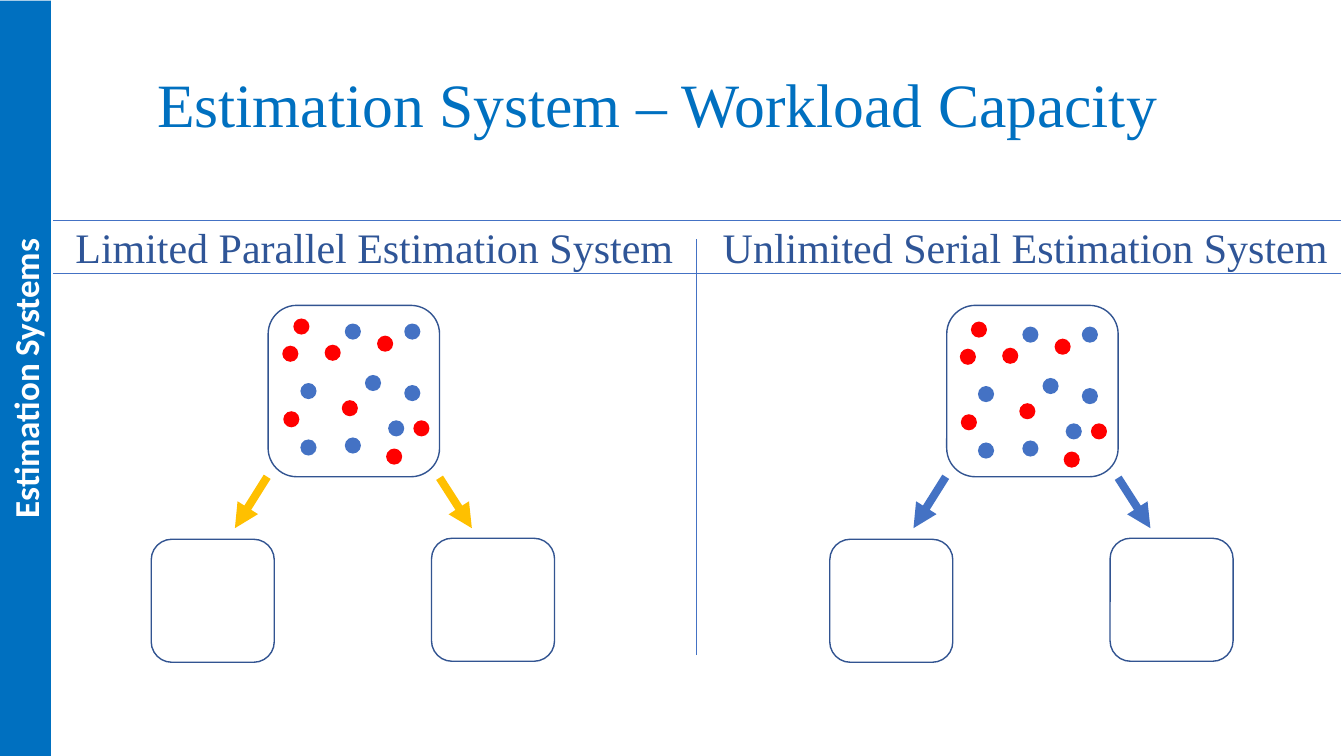
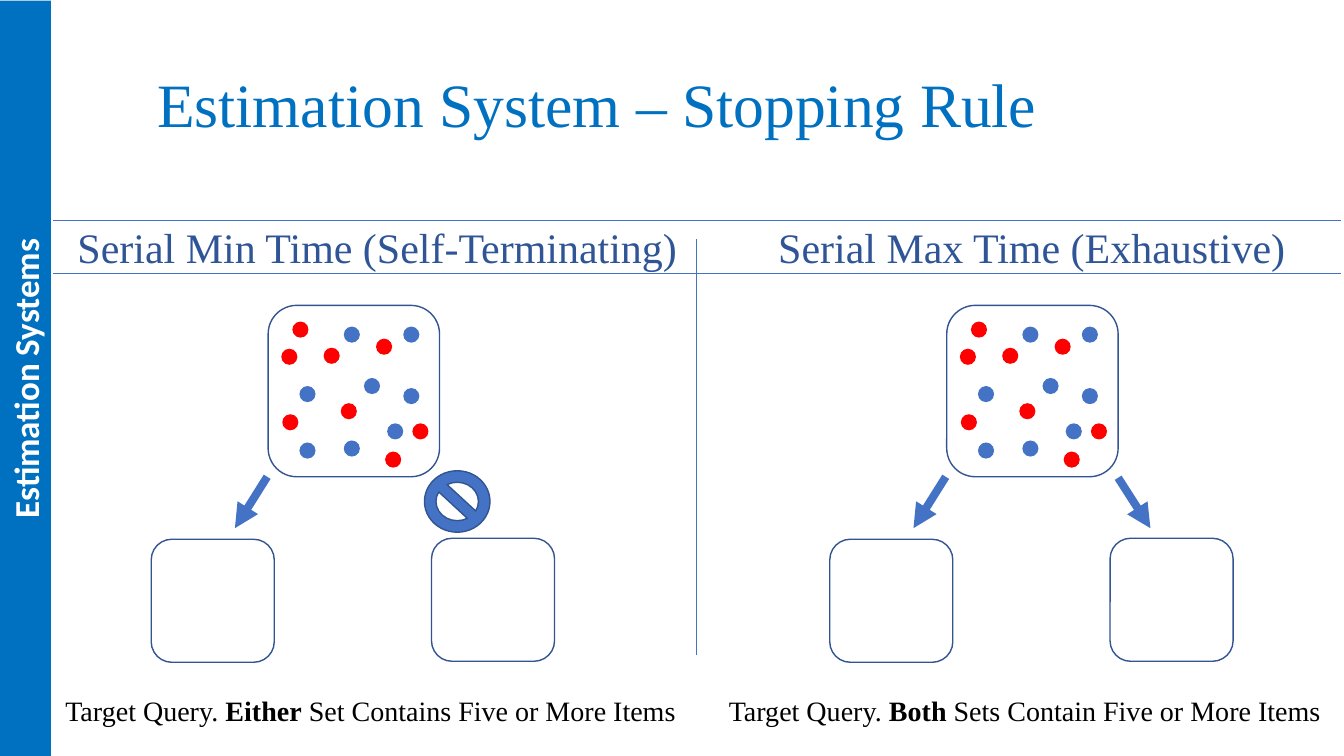
from lxml import etree
from pptx import Presentation
from pptx import util as u
from pptx.dml.color import RGBColor
from pptx.enum import shapes, text
from pptx.oxml.ns import qn

PX = 9144
BAND, BLUE, EDGE, HEAD = "0070C0", "4472C4", "325491", "2F5597"
RED, GOLD, WHITE, BLACK = "FF0000", "FFC000", "FFFFFF", "000000"
SERIF = "Times New Roman"
KIND = shapes.MSO_SHAPE
hue = RGBColor.from_string


def draw(slide, kind, area, fill, edge=None):
    item = slide.shapes.add_shape(kind, *[v * PX for v in area])
    item.shadow.inherit = False
    item.fill.solid()
    item.fill.fore_color.rgb = hue(fill)
    if edge:
        item.line.color.rgb = hue(edge)
        item.line.width = u.Pt(1)
    else:
        item.line.fill.background()
    return item


def link(slide, ends, color, width, arrow=False):
    item = slide.shapes.add_connector(
        shapes.MSO_CONNECTOR.STRAIGHT, *[v * PX for v in ends])
    item.line.color.rgb = hue(color)
    item.line.width = u.Pt(width)
    if arrow:
        etree.SubElement(item.line._get_or_add_ln(), qn("a:tailEnd"), type="triangle")
    etree.SubElement(item._element.spPr, qn("a:effectLst"))


RULES = [(1330, 219, 53, 219), (691, 650, 691, 237), (1330, 271, 53, 271)]
BOXES = [(266, 303, 170, 170), (428, 534, 122, 122), (150, 535, 122, 122)]
ARROWS = [(265, 473, 233, 524), (436, 474, 468, 524)]
STEP = 673
DOT = 16
DOTS = {
    BLUE: [(384, 420), (341, 437), (400, 385), (361, 375),
           (341, 324), (297, 383), (400, 324), (297, 439)],
    RED: [(290, 319), (321, 345), (373, 336), (279, 346),
          (338, 400), (409, 420), (280, 411), (382, 448)],
}

PAGES = [
    {
        "title": "Estimation System – Workload Capacity",
        "texts": [
            ((65, 215, 619, 61), 30, HEAD, ["Limited Parallel Estimation System"]),
            ((707, 215, 630, 61), 30, HEAD, ["Unlimited Serial Estimation System"]),
        ],
        "sides": [(GOLD, 2, 1, -3), (BLUE, 2, 0, 0)],
    },
    {
        "title": "Estimation System – Stopping Rule",
        "texts": [
            ((67, 215, 622, 61), 30, HEAD, ["Serial Min Time (Self-Terminating)"]),
            ((762, 215, 529, 61), 30, HEAD, ["Serial Max Time (Exhaustive)"]),
            ((55, 683, 630, 44), 20, BLACK,
             ["Target Query. ", "Either", " Set Contains Five or More Items"]),
            ((713, 683, 611, 44), 20, BLACK,
             ["Target Query. ", "Both", " Sets Contain Five or More Items"]),
        ],
        "sides": [(BLUE, 1, 0, 0), (BLUE, 2, 0, 0)],
    },
]

deck = Presentation()
deck.slide_width = 1333 * PX
deck.slide_height = 750 * PX

for page in PAGES:
    slide = deck.slides.add_slide(deck.slide_layouts[5])

    band = draw(slide, KIND.RECTANGLE, (-350, 350, 750, 51), BAND)
    band.rotation = 270
    frame = band.text_frame
    frame.text = "Estimation Systems"
    frame.vertical_anchor = text.MSO_ANCHOR.MIDDLE
    para = frame.paragraphs[0]
    para.alignment = text.PP_ALIGN.CENTER
    para.font.name = "Calibri"
    para.font.size = u.Pt(25)
    para.font.bold = True
    para.font.color.rgb = hue(WHITE)

    for rule in RULES:
        link(slide, rule, BLUE, 0.5)

    title = slide.shapes.title
    title.left, title.top, title.width, title.height = [
        v * PX for v in (146, 60, 1079, 84)]
    jobs = [(title, 44, BAND, [page["title"]])]
    for area, size, color, parts in page["texts"]:
        box = slide.shapes.add_textbox(*[v * PX for v in area])
        box.text_frame.word_wrap = False
        jobs.append((box, size, color, parts))

    for box, size, color, parts in jobs:
        frame = box.text_frame
        frame.auto_size = text.MSO_AUTO_SIZE.SHAPE_TO_FIT_TEXT
        frame.vertical_anchor = text.MSO_ANCHOR.TOP
        para = frame.paragraphs[0]
        para.alignment = text.PP_ALIGN.LEFT
        para.font.name = SERIF
        para.font.size = u.Pt(size)
        para.font.color.rgb = hue(color)
        for n, part in enumerate(parts):
            run = para.add_run()
            run.text = part
            if n == 1:
                run.font.bold = True

    for side, (color, count, dx, dy) in enumerate(page["sides"]):
        move = side * STEP
        for x, y, w, h in BOXES:
            draw(slide, KIND.ROUNDED_RECTANGLE, (x + move, y, w, h), WHITE, EDGE)
        for x, y, tox, toy in ARROWS[:count]:
            link(slide, (x + move, y, tox + move, toy), color, 5.75, True)
        for shade, spots in DOTS.items():
            for x, y in spots:
                draw(slide, KIND.OVAL, (x + move + dx, y + dy, DOT, DOT), shade)
        if count == 1:
            draw(slide, KIND.NO_SYMBOL, (421, 467, 65, 61), BLUE, EDGE)

deck.save("out.pptx")
